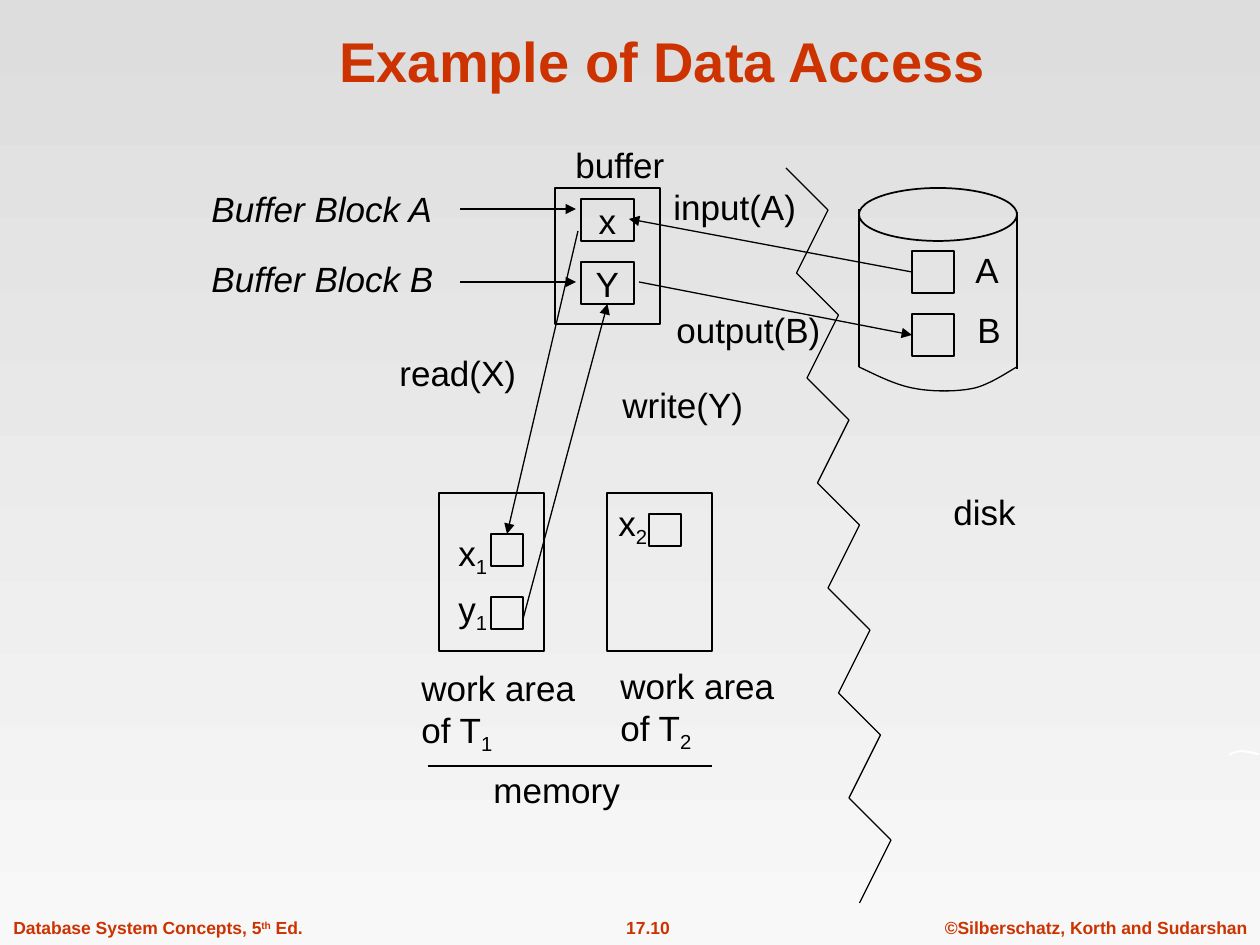
from lxml import etree
from pptx import Presentation
from pptx import util as u
from pptx.dml.color import RGBColor
from pptx.enum import shapes, text
from pptx.oxml.ns import qn

PX = u.Inches(1) / 126
COLORS = {"accent": "CC3300", "ink": "000000", "top": "DDDDDD",
          "bottom": "F8F8F8", "flick": "FFFFFF"}
BASELINES = {"_": "-25000", "^": "30000"}

TITLE = ("Example of Data Access", (106, 16, 1113, 84))

# "|" parts runs; a run led by "_" is subscript, by "^" superscript
FOOTERS = [
    ("Database System Concepts, 5|^th| Ed.", (1, 911, 314, 34), "LEFT"),
    ("17.10", (581, 911, 134, 34), "CENTER"),
    ("©Silberschatz, Korth and Sudarshan", (932, 911, 328, 34), "CENTER"),
]
LABELS = [
    ("buffer", (563, 137, 115, 55)),
    ("input(A)", (661, 179, 147, 55)),
    ("output(B)", (664, 302, 179, 55)),
    ("read(X)", (387, 345, 142, 55)),
    ("write(Y)", (610, 377, 146, 55)),
    ("A", (963, 242, 48, 55)),
    ("B", (965, 302, 48, 55)),
    ("disk", (941, 484, 87, 55)),
    ("x|_1", (446, 525, 54, 60)),
    ("y|_1", (446, 581, 59, 60)),
    ("x|_2", (606, 495, 54, 60)),
    ("work area\nof T|_1", (409, 660, 189, 103)),
    ("work area\nof T|_2", (608, 658, 179, 103)),
    ("memory", (481, 762, 151, 55)),
]
BLOCK_LABELS = [
    ("Buffer Block A", (199, 181, 257, 55)),
    ("Buffer Block B", (199, 251, 247, 55)),
]
BOXES = {
    "buffer": (555, 188, 105, 136),
    "buffer x": (581, 199, 53, 42),
    "buffer Y": (581, 262, 53, 42),
    "disk A": (912, 251, 42, 42),
    "disk B": (912, 314, 42, 42),
    "work area 1": (439, 493, 105, 158),
    "work area 2": (607, 493, 105, 158),
    "x1": (491, 534, 32, 32),
    "y1": (491, 597, 32, 32),
    "x2": (649, 514, 32, 32),
}
BOX_TEXT = {"buffer x": "x", "buffer Y": "Y"}
DISK_TOP = (859, 188, 158, 53)
DISK_BOTTOM = [
    [(859, 367), (876, 375), (893, 384), (912, 388)],
    [(912, 388), (931, 392), (958, 392), (975, 388)],
    [(975, 388), (991, 384), (1011, 370), (1017, 367)],
]
LINES = [
    ((859, 209), (859, 367)),
    ((1017, 212), (1017, 369)),
    ((428, 766), (712, 766)),
]
# An end is a point, or a box name with its connection site
ARROWS = [
    ((460, 209), (576, 209)),
    ((460, 282), (576, 282)),
    (("disk A", 1), (629, 219)),
    ((639, 282), ("disk B", 1)),
    ((578, 231), ("x1", 0)),
    ((523, 619), ("buffer Y", 2)),
]
ZIGZAG_START, ZIGZAG_STEPS, ZIGZAG_REPEATS = (786, 168), [(42, 42), (-31.5, 63)], 7
FLICK = [(1229, 757), (1230, 753), (1236, 751), (1242, 750), (1250, 751), (1258, 753),
         (1260, 754), (1258, 755), (1248, 753), (1242, 752), (1235, 753), (1231, 755)]


def emu(*lengths):
    return [round(n * PX) for n in lengths]


def rgb(name):
    return RGBColor.from_string(COLORS[name])


def write(tf, content, size=20, color="ink", bold=False, italic=False,
          align="LEFT", anchor="TOP", wrap=False):
    tf.word_wrap = wrap
    tf.auto_size = text.MSO_AUTO_SIZE.NONE
    tf.vertical_anchor = text.MSO_ANCHOR[anchor]
    for i, line in enumerate(content.split("\n")):
        p = tf.add_paragraph() if i else tf.paragraphs[0]
        p.alignment = text.PP_ALIGN[align]
        for part in line.split("|"):
            r = p.add_run()
            r.text = part.lstrip("_^")
            r.font.name, r.font.size = "Arial", u.Pt(size)
            r.font.bold, r.font.italic = bold, italic
            r.font.color.rgb = rgb(color)
            if part[0] in BASELINES:
                r._r.get_or_add_rPr().set("baseline", BASELINES[part[0]])


def add_label(s, content, place, **fmt):
    write(s.shapes.add_textbox(*emu(*place)).text_frame, content, **fmt)


def outline(sp, width=0.75):
    sp.shadow.inherit = False
    sp.fill.background()
    sp.line.color.rgb = rgb("ink")
    sp.line.width = u.Pt(width)


def add_outlined(s, kind, place, width=0.75):
    sp = s.shapes.add_shape(shapes.MSO_SHAPE[kind], *emu(*place))
    outline(sp, width)
    return sp


def add_line(s, start, end, boxes, arrow=False):
    joined = [isinstance(point[0], str) for point in (start, end)]
    a, b = [(0, 0) if j else point for j, point in zip(joined, (start, end))]
    c = s.shapes.add_connector(shapes.MSO_CONNECTOR.STRAIGHT, *emu(*a, *b))
    if joined[0]:
        c.begin_connect(boxes[start[0]], start[1])
    if joined[1]:
        c.end_connect(boxes[end[0]], end[1])
    c.line.color.rgb = rgb("ink")
    c.line.width = u.Pt(0.75)
    if arrow:
        etree.SubElement(c.line._get_or_add_ln(), qn("a:tailEnd"), type="triangle")
    etree.SubElement(c._element.spPr, qn("a:effectLst"))


def add_path(s, points, close):
    points = [emu(*point) for point in points]
    builder = s.shapes.build_freeform(*points[0])
    builder.add_line_segments(points[1:], close=close)
    return builder.convert_to_shape()


def bezier(curve, steps=12):
    """Points along a cubic curve, both ends included."""
    for i in range(steps + 1):
        t = i / steps
        weights = ((1 - t) ** 3, 3 * t * (1 - t) ** 2, 3 * t * t * (1 - t), t ** 3)
        yield tuple(sum(w * pt[k] for w, pt in zip(weights, curve)) for k in (0, 1))


def main():
    prs = Presentation()
    prs.slide_width, prs.slide_height = u.Inches(10), u.Inches(7.5)
    s = prs.slides.add_slide(prs.slide_layouts[5])
    fill = s.background.fill
    fill.gradient()
    fill.gradient_angle = 270
    for stop, name in zip(fill.gradient_stops, ("top", "bottom")):
        stop.color.rgb = rgb(name)

    title = s.shapes.title
    title.left, title.top, title.width, title.height = emu(*TITLE[1])
    write(title.text_frame, TITLE[0], size=32, color="accent", bold=True,
          align="CENTER", anchor="BOTTOM", wrap=True)
    for content, place, align in FOOTERS:
        add_label(s, content, place, size=10, color="accent", bold=True, align=align)
    flick = add_path(s, FLICK, close=True)
    flick.shadow.inherit = False
    flick.fill.solid()
    flick.fill.fore_color.rgb = rgb("flick")
    flick.line.fill.background()

    boxes = {name: add_outlined(s, "RECTANGLE", place) for name, place in BOXES.items()}
    for name, content in BOX_TEXT.items():
        write(boxes[name].text_frame, content, align="CENTER", anchor="MIDDLE")
    add_outlined(s, "OVAL", DISK_TOP, width=1)
    outline(add_path(s, [pt for curve in DISK_BOTTOM for pt in bezier(curve)], close=False))

    for start, end in LINES:
        add_line(s, start, end, boxes)
    for start, end in ARROWS:
        add_line(s, start, end, boxes, arrow=True)
    x, y = ZIGZAG_START
    for dx, dy in ZIGZAG_STEPS * ZIGZAG_REPEATS:
        add_line(s, (x, y), (x + dx, y + dy), boxes)
        x, y = x + dx, y + dy

    for content, place in LABELS:
        add_label(s, content, place)
    for content, place in BLOCK_LABELS:
        add_label(s, content, place, italic=True)
    prs.save("out.pptx")


if __name__ == "__main__":
    main()
